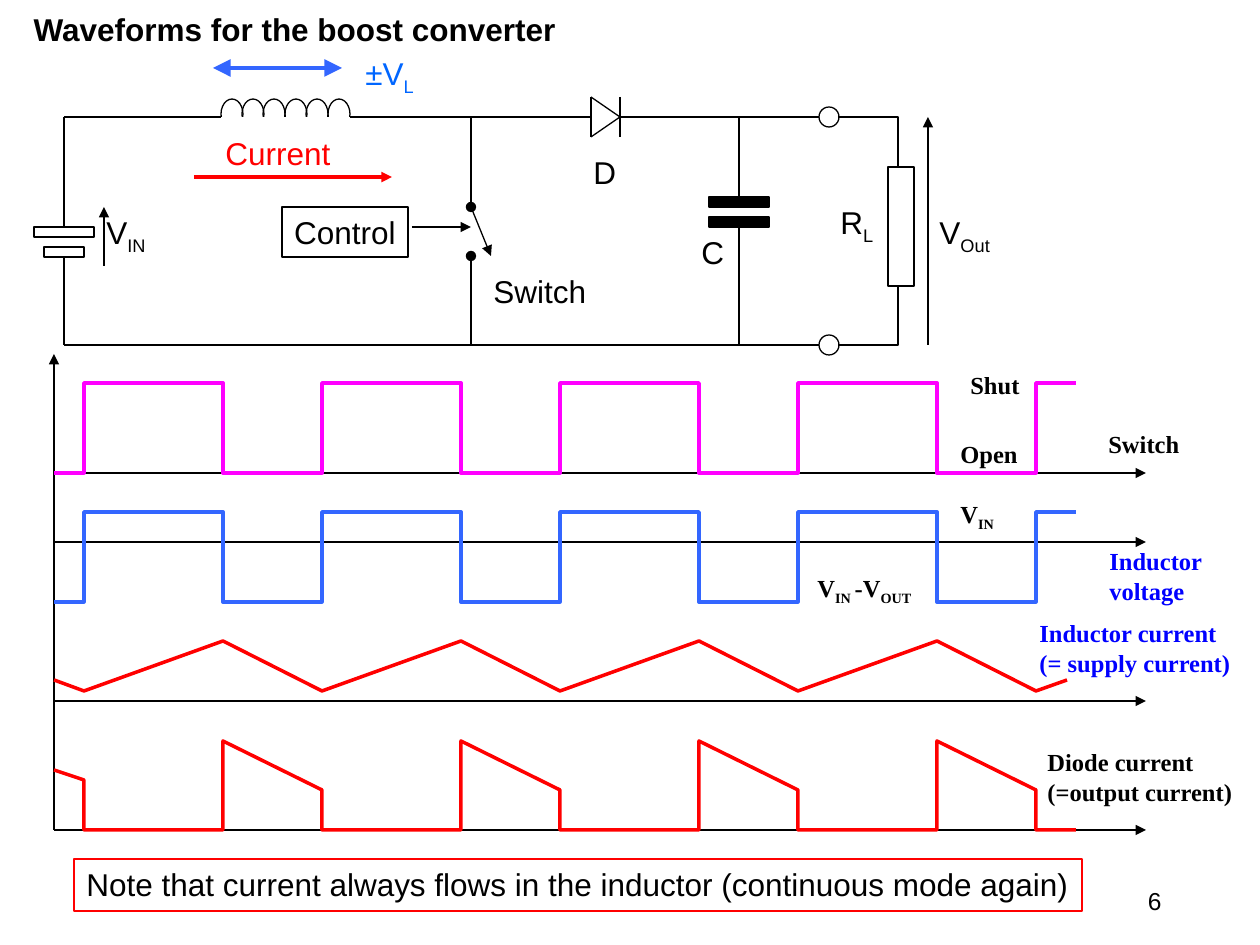
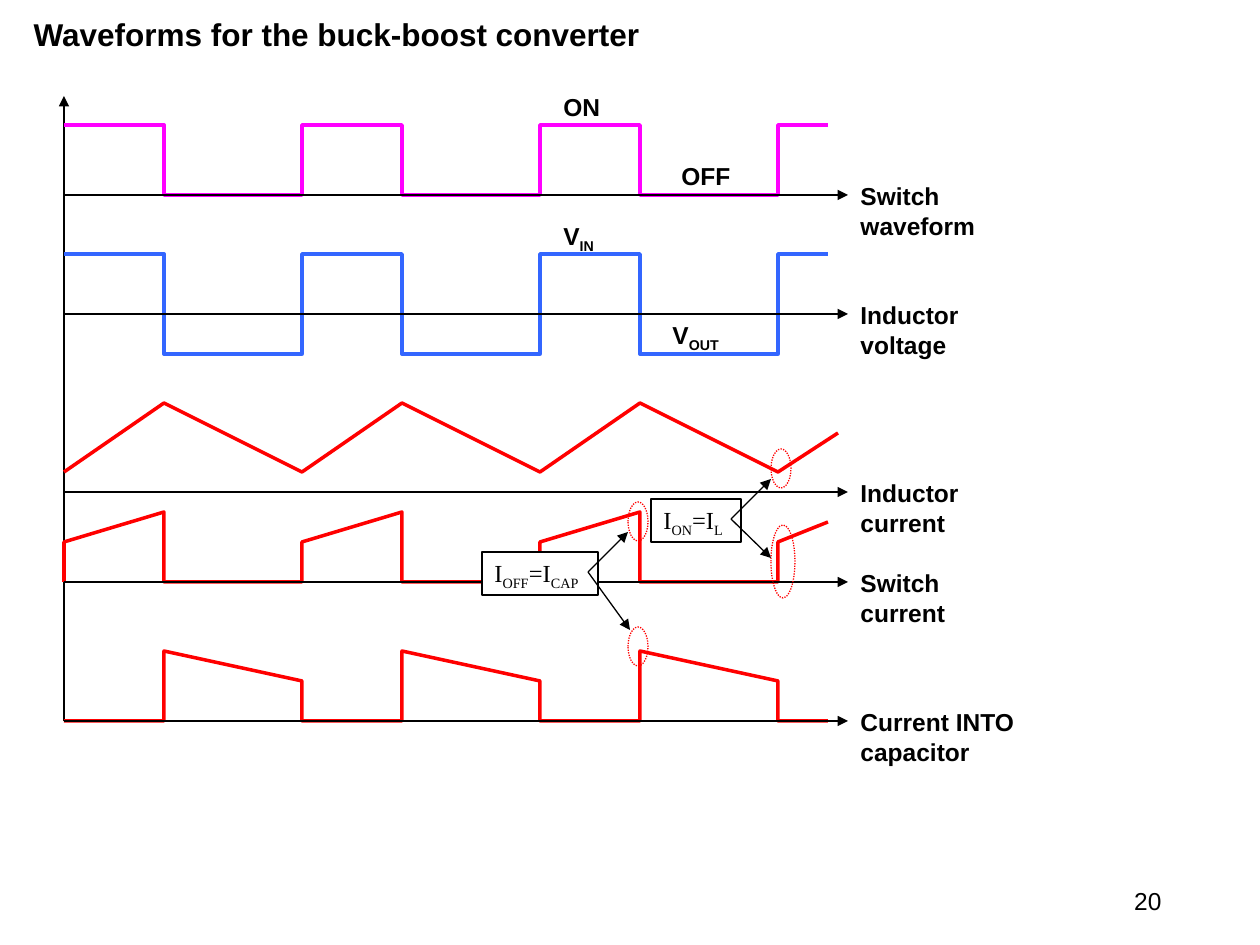
from collections import namedtuple

from lxml import etree
from pptx import Presentation
from pptx.dml.color import RGBColor
from pptx.enum.dml import MSO_LINE
from pptx.enum.shapes import MSO_CONNECTOR, MSO_SHAPE
from pptx.enum.text import MSO_ANCHOR, MSO_AUTO_SIZE, PP_ALIGN
from pptx.oxml.ns import qn
from pptx.util import Pt

PX = 914400 / 126
PERIOD = 238
TOP, BOTTOM = 0, 2

STRAIGHT = MSO_CONNECTOR.STRAIGHT
RECTANGLE, OVAL = MSO_SHAPE.RECTANGLE, MSO_SHAPE.OVAL
DOTTED = MSO_LINE.ROUND_DOT
LEFT, CENTER, RIGHT = PP_ALIGN.LEFT, PP_ALIGN.CENTER, PP_ALIGN.RIGHT
ANCHOR_TOP, ANCHOR_MIDDLE = MSO_ANCHOR.TOP, MSO_ANCHOR.MIDDLE
FIT_SHAPE, NO_FIT = MSO_AUTO_SIZE.SHAPE_TO_FIT_TEXT, MSO_AUTO_SIZE.NONE

BLACK = RGBColor(0x00, 0x00, 0x00)
WHITE = RGBColor(0xFF, 0xFF, 0xFF)
RED = RGBColor(0xFF, 0x00, 0x00)
MAGENTA = RGBColor(0xFF, 0x00, 0xFF)
WAVE_BLUE = RGBColor(0x33, 0x66, 0xFF)
VOLTAGE_BLUE = RGBColor(0x00, 0x66, 0xFF)
LABEL_BLUE = RGBColor(0x00, 0x00, 0xFF)

Style = namedtuple("Style", "font size bold")
TITLE = Style("Arial", 18, True)
CIRCUIT = Style("Arial", 18, False)
NUMBER = Style("Arial", 14, False)
SANS_LABEL = Style("Arial", 14, True)
SERIF_LABEL = Style("Times New Roman", 14, True)
FORMULA = Style("Times New Roman", 14, False)


def px(length):
    """Turn px into EMU."""
    return round(length * PX)


def write(shape, text, style, colour=BLACK, align=LEFT, anchor=ANCHOR_TOP, wrap=False):
    """Fill a shape with lines of text, in which bars switch subscript on and off."""
    frame = shape.text_frame
    frame.word_wrap = wrap
    frame.auto_size = FIT_SHAPE if anchor == ANCHOR_TOP else NO_FIT
    frame.vertical_anchor = anchor
    for index, line in enumerate(text.split("\n")):
        para = frame.add_paragraph() if index else frame.paragraphs[0]
        para.alignment = align
        para.font.name = style.font
        para.font.size = Pt(style.size)
        para.font.bold = style.bold
        para.font.color.rgb = colour
        for part, words in enumerate(line.split("|")):
            if words:
                span = para.add_run()
                span.text = words
                if part % 2:
                    span.font._element.set("baseline", "-25000")


def add_label(page, text, x, y, width, style, colour=BLACK):
    """Add free text whose height follows from its lines."""
    height = 13 + 2.1 * style.size * (text.count("\n") + 1)
    box = page.shapes.add_textbox(px(x), px(y), px(width), px(height))
    write(box, text, style, colour)


def add_outline(page, kind, x, y, width, height, colour=BLACK, fill=None):
    """Add a thinly outlined preset shape."""
    shape = page.shapes.add_shape(kind, px(x), px(y), px(width), px(height))
    shape.shadow.inherit = False
    if fill is None:
        shape.fill.background()
    else:
        shape.fill.solid()
        shape.fill.fore_color.rgb = fill
    shape.line.color.rgb = colour
    shape.line.width = Pt(0.75)
    return shape


def add_line(page, start, end, colour=BLACK, width=0.75, head=None, tail=None,
             end_size="med", begin_at=None, end_at=None):
    """Add a straight line, with optional ends and joins given as (shape, side)."""
    line = page.shapes.add_connector(STRAIGHT, *map(px, start + end))
    line.line.color.rgb = colour
    line.line.width = Pt(width)
    properties = line._element.spPr
    for tag, ending in (("a:headEnd", head), ("a:tailEnd", tail)):
        if ending:
            etree.SubElement(properties.find(qn("a:ln")), qn(tag), type=ending,
                             w=end_size, len=end_size)
    etree.SubElement(properties, qn("a:effectLst"))
    if begin_at:
        line.begin_connect(*begin_at)
    if end_at:
        line.end_connect(*end_at)


def add_arrow(page, start, end, colour=BLACK, width=0.75):
    """Add a line that ends in an arrowhead."""
    add_line(page, start, end, colour, width, tail="triangle")


def add_path(page, points, colour=BLACK, width=2):
    """Add an open, unfilled path."""
    builder = page.shapes.build_freeform(*points[0], scale=PX)
    builder.add_line_segments(points[1:], close=False)
    path = builder.convert_to_shape()
    path.shadow.inherit = False
    path.fill.background()
    path.line.color.rgb = colour
    path.line.width = Pt(width)


def add_wave(page, colour, start, count, cycle, tail, lead=()):
    """Add a periodic waveform between its lead-in and its tail."""
    repeated = [(start + PERIOD * turn + offset, y)
                for turn in range(count) for offset, y in cycle]
    add_path(page, [*lead, *repeated, *tail], colour)


def add_page(deck, title, title_y, title_width, number):
    """Add a slide with its title and page number."""
    page = deck.slides.add_slide(deck.slide_layouts[5])
    heading = page.shapes.title
    heading.left, heading.top = px(21), px(title_y)
    heading.width, heading.height = px(title_width), px(50)
    write(heading, title, TITLE)
    box = page.shapes.add_textbox(px(890), px(876), px(284), px(50))
    write(box, number, NUMBER, align=RIGHT, anchor=ANCHOR_MIDDLE, wrap=True)
    return page


def draw_supply(page):
    """Draw the battery, the inductor and their labels."""
    long_plate = add_outline(page, RECTANGLE, 34, 227, 60, 10)
    short_plate = add_outline(page, RECTANGLE, 44, 247, 40, 10)
    add_line(page, (64, 227), (64, 117), begin_at=(long_plate, TOP))
    add_line(page, (64, 345), (64, 257), end_at=(short_plate, BOTTOM))
    add_arrow(page, (104, 266), (104, 207))
    add_label(page, "V|IN", 94, 207, 80, CIRCUIT)
    for turn in range(6):
        add_outline(page, OVAL, 221 + 107 * turn // 5, 99, 22, 30)
    add_outline(page, RECTANGLE, 205, 118, 180, 25, WHITE, WHITE)
    add_line(page, (64, 117), (221, 117))
    add_line(page, (350, 117), (591, 117))
    add_line(page, (342, 68), (213, 68), WAVE_BLUE, 2, "triangle", "triangle", "lg")
    add_label(page, "±V|L", 353, 48, 90, CIRCUIT, VOLTAGE_BLUE)
    add_arrow(page, (194, 177), (392, 177), RED, 2)
    add_label(page, "Current", 213, 128, 145, CIRCUIT, RED)


def draw_switch(page):
    """Draw the switch with its control box."""
    add_arrow(page, (471, 207), (491, 256))
    add_line(page, (471, 207), (471, 117), head="oval")
    add_line(page, (471, 256), (471, 345), head="oval")
    control = add_outline(page, RECTANGLE, 282, 207, 126, 50)
    write(control, "Control", CIRCUIT, align=CENTER, anchor=ANCHOR_MIDDLE)
    add_arrow(page, (412, 227), (471, 227))
    add_label(page, "Switch", 481, 266, 135, CIRCUIT)


def draw_output(page):
    """Draw the diode, the capacitor and the load."""
    for start, end in (((591, 97), (591, 137)), ((591, 137), (620, 117)),
                       ((591, 97), (620, 117)), ((620, 97), (620, 137)),
                       ((620, 117), (819, 117)), ((64, 345), (819, 345))):
        add_line(page, start, end)
    upper_plate, lower_plate = (
        add_outline(page, RECTANGLE, 709, y, 60, 10, fill=BLACK) for y in (197, 217))
    add_line(page, (739, 117), (739, 197), end_at=(upper_plate, TOP))
    add_line(page, (739, 345), (739, 227), end_at=(lower_plate, BOTTOM))
    for y in (117, 345):
        add_outline(page, OVAL, 819, y - 10, 20, 20)
    add_path(page, [(838, 117), (898, 117), (898, 345), (838, 345)], width=0.75)
    add_outline(page, RECTANGLE, 888, 167, 26, 119, fill=WHITE)
    add_arrow(page, (928, 345), (928, 117))
    for text, x, y, width in (("D", 581, 147, 60), ("C", 689, 227, 60),
                              ("R|L", 828, 197, 70), ("V|Out", 927, 207, 95)):
        add_label(page, text, x, y, width, CIRCUIT)


def draw_boost_waves(page):
    """Draw the four waveforms of the boost converter."""
    add_arrow(page, (54, 830), (54, 354))
    for y in (473, 542, 701, 830):
        add_arrow(page, (54, y), (1146, y))
    for colour, low, high in ((MAGENTA, 473, 383), (WAVE_BLUE, 602, 512)):
        add_wave(page, colour, 84, 4,
                 [(0, low), (0, high), (139, high), (139, low)],
                 [(1036, low), (1036, high), (1076, high)], [(54, low)])
    add_wave(page, RED, 84, 4, [(0, 691), (139, 641)],
             [(1036, 691), (1067, 680)], [(54, 680)])
    add_wave(page, RED, 84, 4, [(0, 830), (139, 830), (139, 741), (238, 790)],
             [(1036, 830), (1076, 830)], [(54, 770), (84, 780)])
    for text, x, y, width, colour in (
            ("Shut", 958, 364, 90, BLACK),
            ("Open", 948, 433, 100, BLACK),
            ("Switch", 1096, 423, 115, BLACK),
            ("V|IN", 948, 493, 75, BLACK),
            ("V|IN |-V|OUT", 805, 567, 145, BLACK),
            ("Inductor\nvoltage", 1097, 540, 135, LABEL_BLUE),
            ("Inductor current\n(= supply current)", 1027, 612, 230, LABEL_BLUE),
            ("Diode current\n(=output current)", 1035, 741, 223, BLACK)):
        add_label(page, text, x, y, width, SERIF_LABEL, colour)


def draw_buck_boost_waves(page):
    """Draw the five waveforms of the buck-boost converter."""
    add_arrow(page, (64, 721), (64, 96))
    for colour, high, low in ((MAGENTA, 125, 195), (WAVE_BLUE, 254, 354)):
        add_wave(page, colour, 64, 3,
                 [(0, high), (100, high), (100, low), (238, low)],
                 [(778, high), (828, high)])
    add_wave(page, RED, 64, 3, [(0, 472), (100, 403)], [(778, 472), (838, 433)])
    add_wave(page, RED, 64, 3, [(0, 582), (0, 542), (100, 512), (100, 582)],
             [(778, 582), (778, 542), (828, 522)])
    add_wave(page, RED, 64, 3, [(0, 721), (100, 721), (100, 651), (238, 681)],
             [(778, 721), (828, 721)])
    for text, y in (("Switch\nwaveform", 195), ("Inductor\nvoltage", 314),
                    ("Inductor\ncurrent", 492), ("Switch\ncurrent", 582),
                    ("Current INTO\ncapacitor", 721)):
        add_arrow(page, (64, y), (848, y))
        add_label(page, text, 848, y - 20, 220, SANS_LABEL)
    for text, x, y, width in (("OFF", 669, 155, 90), ("ON", 551, 86, 80),
                              ("V|IN", 551, 215, 75), ("V|OUT", 660, 314, 95)):
        add_label(page, text, x, y, width, SANS_LABEL)


def add_callout(page, text, frame, rings, source, targets):
    """Add a formula box with arrows to dotted rings."""
    box = add_outline(page, RECTANGLE, *frame, fill=WHITE)
    write(box, text, FORMULA)
    for ring in rings:
        add_outline(page, OVAL, *ring, RED).line.dash_style = DOTTED
    for target in targets:
        add_arrow(page, source, target)


def main():
    """Build both slides and save the deck."""
    deck = Presentation()
    deck.slide_width, deck.slide_height = px(1260), px(945)

    boost = add_page(deck, "Waveforms for the boost converter", 4, 600, "6")
    draw_supply(boost)
    draw_switch(boost)
    draw_output(boost)
    draw_boost_waves(boost)
    note = add_outline(boost, RECTANGLE, 74, 859, 1008, 52, RED)
    write(note, "Note that current always flows in the inductor (continuous mode again)",
          CIRCUIT)

    buck_boost = add_page(deck, "Waveforms for the buck-boost converter", 9, 680, "20")
    draw_buck_boost_waves(buck_boost)
    add_callout(buck_boost, "I|ON|=I|L", (651, 499, 90, 43),
                [(771, 449, 20, 39), (771, 525, 24, 73)],
                (731, 519), [(771, 479), (771, 558)])
    add_callout(buck_boost, "I|OFF|=I|CAP", (482, 552, 116, 43),
                [(628, 502, 20, 39), (628, 627, 20, 39)],
                (588, 572), [(628, 532), (630, 630)])
    deck.save("out.pptx")


if __name__ == "__main__":
    main()
